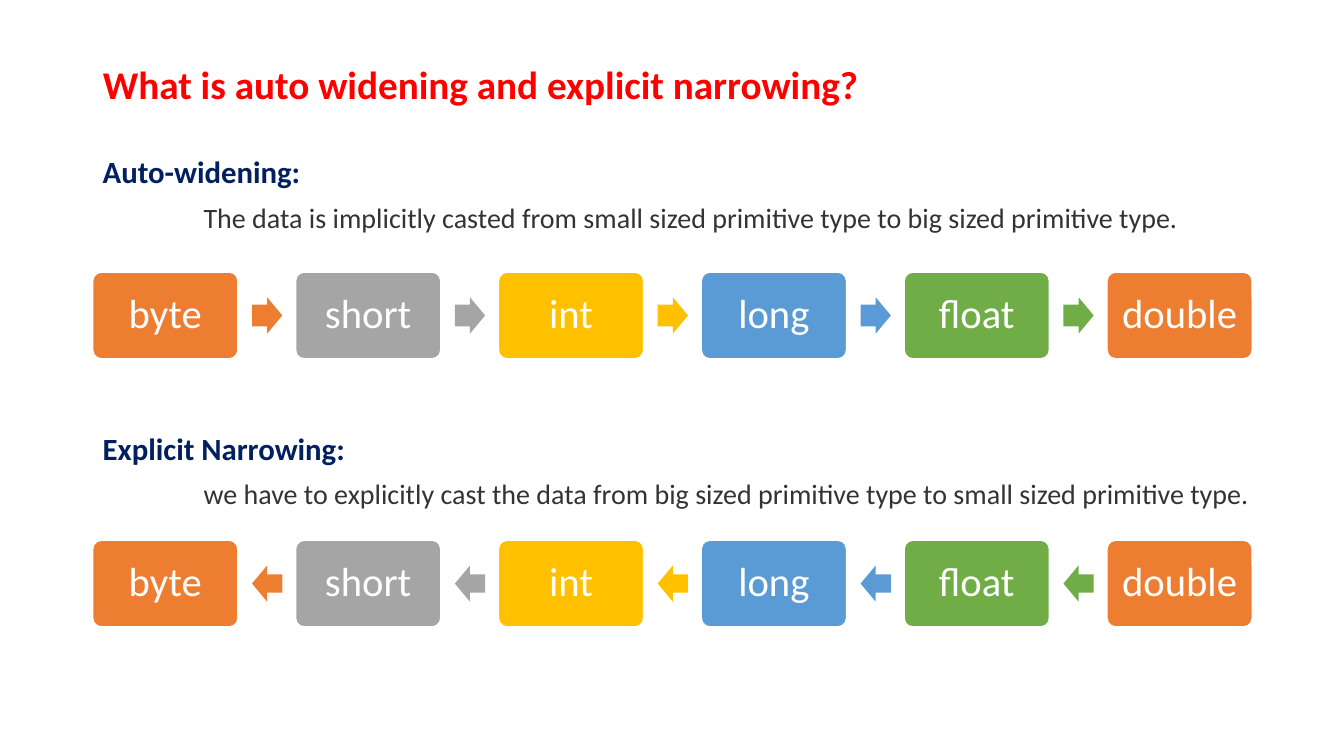
from dataclasses import dataclass

from pptx import Presentation
from pptx.dml.color import RGBColor
from pptx.enum.shapes import MSO_SHAPE as Shape
from pptx.enum.text import MSO_ANCHOR as Anchor, MSO_AUTO_SIZE as AutoSize, PP_ALIGN as Align
from pptx.util import Inches, Pt

FONT = "Calibri"
LEFT = 0.92
BOX_WIDTH, BOX_HEIGHT = 1.44, 0.86
ARROW_WIDTH, ARROW_HEIGHT = 0.3, 0.36
ARROW_OFFSET = 1.58


@dataclass(frozen=True)
class PrimitiveType:
    name: str
    color: str


@dataclass(frozen=True)
class Conversion:
    heading: str
    explanation: str
    space_before: float
    top: float
    arrow: Shape
    shaft: float


TYPES = [
    PrimitiveType("byte", "ED7D31"),
    PrimitiveType("short", "A5A5A5"),
    PrimitiveType("int", "FFC000"),
    PrimitiveType("long", "5B9BD5"),
    PrimitiveType("float", "70AD47"),
    PrimitiveType("double", "ED7D31"),
]
PITCH = (10.98 - LEFT) / (len(TYPES) - 1)

CONVERSIONS = [
    Conversion(
        "Auto-widening:",
        "The data is implicitly casted from small sized primitive type to big sized primitive type.",
        0, 2.7, Shape.RIGHT_ARROW, 0.6,
    ),
    Conversion(
        "Explicit Narrowing:",
        "we have to explicitly cast the data from big sized primitive type to small sized primitive type.",
        142, 5.36, Shape.LEFT_ARROW, 0.5,
    ),
]


def rgb(value: str) -> RGBColor:
    return RGBColor.from_string(value)


def write(para, text: str, size: float, color: str, bold: bool = False) -> None:
    para.text = text
    para.line_spacing = 0.9
    for span in para.runs:
        span.font.name = FONT
        span.font.size = Pt(size)
        span.font.bold = bold
        span.font.color.rgb = rgb(color)


def add_title(page, text: str) -> None:
    title = page.shapes.title
    title.left, title.top = Inches(LEFT), Inches(0.41)
    title.width, title.height = Inches(11.5), Inches(0.9)
    frame = title.text_frame
    frame.auto_size = AutoSize.NONE
    frame.vertical_anchor = Anchor.MIDDLE
    write(frame.paragraphs[0], text, 28, "FF0000", bold=True)
    frame.paragraphs[0].alignment = Align.LEFT


def add_explanations(page) -> None:
    box = page.shapes.add_textbox(Inches(LEFT), Inches(1.51), Inches(11.72), Inches(5.58))
    frame = box.text_frame
    frame.word_wrap = True
    for index, conversion in enumerate(CONVERSIONS):
        heading = frame.add_paragraph() if index else frame.paragraphs[0]
        write(heading, conversion.heading, 22, "002060", bold=True)
        heading.space_before = Pt(conversion.space_before)
        explanation = frame.add_paragraph()
        write(explanation, conversion.explanation, 20, "333333")
        explanation.space_before = Pt(10)
        explanation._p.get_or_add_pPr().set("marL", str(Inches(1)))


def add_filled(group, kind: Shape, left: float, top: float,
               width: float, height: float, color: str):
    shape = group.shapes.add_shape(kind, Inches(left), Inches(top), Inches(width), Inches(height))
    shape.shadow.inherit = False
    shape.fill.solid()
    shape.fill.fore_color.rgb = rgb(color)
    shape.line.fill.background()
    return shape


def add_type_box(group, primitive: PrimitiveType, left: float, top: float) -> None:
    box = add_filled(group, Shape.ROUNDED_RECTANGLE, left, top, BOX_WIDTH, BOX_HEIGHT, primitive.color)
    box.adjustments[0] = 0.1
    box.line.color.rgb = rgb("FFFFFF")
    box.line.width = Pt(1)
    frame = box.text_frame
    frame.word_wrap = True
    frame.vertical_anchor = Anchor.MIDDLE
    frame.margin_left = frame.margin_right = Inches(0.12)
    frame.margin_top = frame.margin_bottom = Inches(0.12)
    write(frame.paragraphs[0], primitive.name, 29, "FFFFFF")
    frame.paragraphs[0].alignment = Align.CENTER


def add_chain(page, conversion: Conversion) -> None:
    group = page.shapes.add_group_shape()
    arrow_top = conversion.top + (BOX_HEIGHT - ARROW_HEIGHT) / 2
    for index, primitive in enumerate(TYPES):
        left = LEFT + index * PITCH
        add_type_box(group, primitive, left, conversion.top)
        if index < len(TYPES) - 1:
            arrow = add_filled(group, conversion.arrow, left + ARROW_OFFSET, arrow_top,
                               ARROW_WIDTH, ARROW_HEIGHT, primitive.color)
            arrow.adjustments[0] = conversion.shaft
            arrow.adjustments[1] = 0.5


def main() -> None:
    deck = Presentation()
    deck.slide_width, deck.slide_height = Inches(13.33), Inches(7.5)
    page = deck.slides.add_slide(deck.slide_layouts.get_by_name("Title Only"))

    # Title and explanations
    add_title(page, "What is auto widening and explicit narrowing?")
    add_explanations(page)

    # Chains of primitive types
    for conversion in CONVERSIONS:
        add_chain(page, conversion)

    deck.save("out.pptx")


if __name__ == "__main__":
    main()
